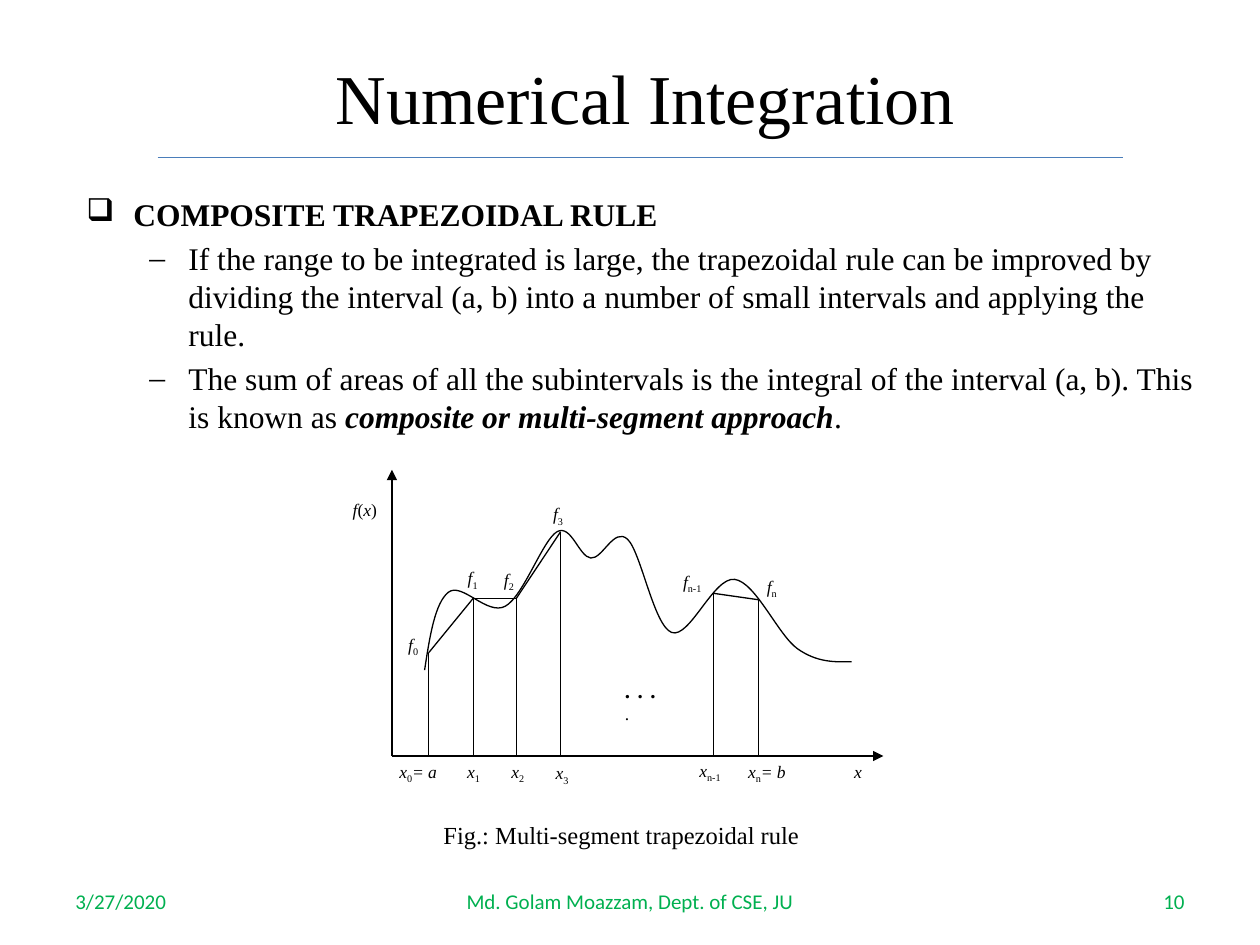
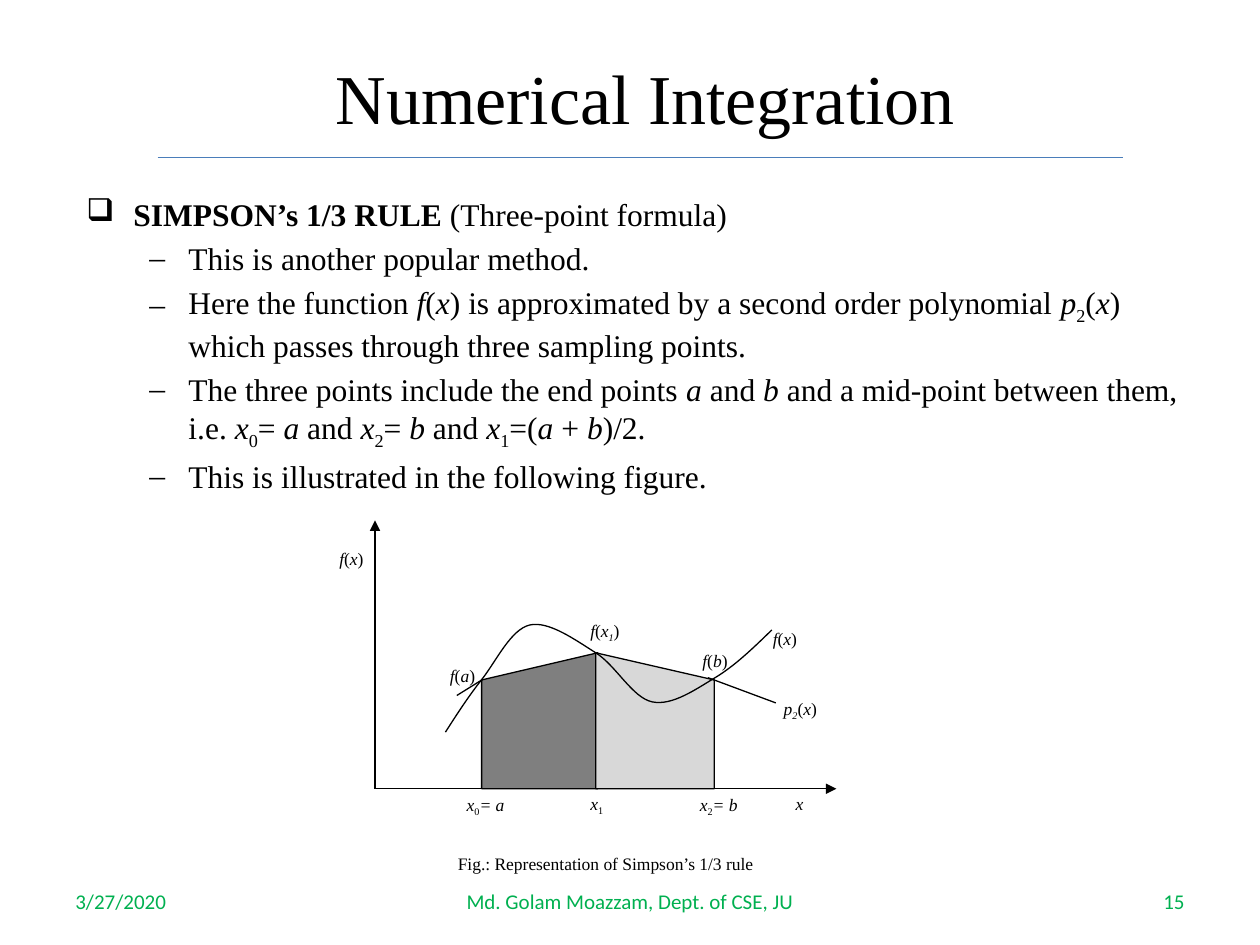
from itertools import groupby, pairwise

from lxml.etree import SubElement
from pptx import Presentation
from pptx.dml.color import RGBColor
from pptx.enum.shapes import MSO_CONNECTOR as Connector, MSO_SHAPE as Shape
from pptx.enum.text import MSO_ANCHOR as Anchor, PP_ALIGN as Align
from pptx.oxml.ns import qn
from pptx.util import Cm, Pt

COLOURS = {
    "ink": "000000",
    "rule": "4A7DBA",
    "footer": "00B050",
    "left_area": "7F7F7F",
    "right_area": "D8D8D8",
}
SERIF = {"name": "Times New Roman", "colour": "ink"}
TITLE = SERIF | {"size": Pt(40)}
BODY = SERIF | {"size": Pt(18)}
LABEL = SERIF | {"size": Pt(10)}
FOOTER = {"name": "Calibri", "colour": "footer", "size": Pt(12)}
LINE_WIDTH = Pt(0.75)

TITLE_BOX = (3.39, 0.97, 19.25, 2.21)
BODY_BOX = (1.49, 3.81, 22.86, 14.4)
FOOTER_BOX = (1.27, 17.65, 22.86, 1.02)
BULLETS = [
    {"mark": "❑", "font": "OpenSymbol", "margin": 0.95, "hang": 0.95, "before": 0},
    {"mark": "–", "font": "Times New Roman", "margin": 2.06, "hang": 0.79, "before": 3.6},
]

COMPOSITE_TEXT = [
    "*COMPOSITE TRAPEZOIDAL RULE*",
    "If the range to be integrated is large, the trapezoidal rule can be improved by "
    "dividing the interval (a, b) into a number of small intervals and applying the rule.",
    "The sum of areas of all the subintervals is the integral of the interval (a, b). "
    "This is known as *~composite or multi-segment approach~*.",
]
SIMPSON_TEXT = [
    "*SIMPSON’s 1/3 RULE *(Three-point formula)",
    "This is another popular method.",
    "Here the function ~f~(~x~) is approximated by a second order polynomial "
    "~p~_2_(~x~) which passes through three sampling points.",
    "The three points include the end points ~a~ and ~b~ and a mid-point between them, "
    "i.e. ~x~_0_= ~a~ and ~x~_2_= ~b~ and ~x~_1_=(~a~ + ~b~)/2.",
    "This is illustrated in the following figure.",
]

COMPOSITE_BOX = (7.9, 9.47, 9.91, 5.77)
COMPOSITE_CURVE = [
    (0.66, 1.73), (1.14, 3.3), (2.29, 3.02), (3.33, 4.52), (4.01, 3.99),
    (4.75, 4.37), (5.64, 2.49), (6.91, 3.56), (8.18, 2.16), (9.27, 1.9),
]
FIRST_ORDINATES = [
    (0.74, [(2.08, 0.03)]),
    (1.64, [(3.18, 1.09), (1.09, 0.48), (0.51, 0.03)]),
    (2.51, [(3.18, 1.47), (2.08, 0.03)]),
    (3.4, [(4.52, 1.09), (1.09, 0.48), (0.51, 0.03)]),
]
LAST_ORDINATES = [
    (6.48, [(3.28, 1.42), (2.08, 0)]),
    (7.39, [(3.15, 0.48), (0.48, 0)]),
]
COMPOSITE_LABELS = [
    ("~x~_0_~= a~", -0.1, 0.03, 1.4),
    ("~x~_1_", 1.27, 0.03, 1.02),
    ("~x~_2_", 2.16, 0.03, 1.02),
    ("~x~_3_", 3.05, 0, 1.02),
    ("~x~_n-1_", 5.95, 0.05, 1.3),
    ("~x~_n_~= b~", 6.93, 0.03, 1.4),
    ("~x~", 9.07, 0.03, 0.89),
    ("~f~(~x~)", -1.04, 5.31, 1.24),
    ("~f~_0_", 0.08, 2.59, 0.91),
    ("~f~_1_", 1.28, 3.93, 0.91),
    ("~f~_2_", 2.01, 3.9, 0.91),
    ("~f~_3_", 3, 5.22, 0.91),
    ("~f~_n-1_", 5.62, 3.86, 1.17),
    ("~f~_n_", 7.31, 3.76, 1.17),
]

SIMPSON_BOX = (7.56, 10.49, 9.3, 5.41)
SIMPSON_CURVE = [
    (1.42, 1.14), (2.16, 2.21), (3.12, 3.3), (4.45, 2.74),
    (5.59, 1.75), (6.86, 2.24), (8, 3.2),
]
SIMPSON_LABELS = [
    ("~x~_0_~= a~", 1.6, 0.02, 1.32),
    ("~x~_1_", 4.09, 0.04, 0.97),
    ("~x~_2_~= b~", 6.3, 0.02, 1.32),
    ("~x~", 8.23, 0.04, 0.84),
    ("~f~(~x~)", -0.97, 4.98, 1.17),
    ("~f~(~x~_~1~_)", 4.09, 3.53, 1.17),
    ("~f~(~a~)", 1.26, 2.61, 1.07),
    ("~f~(~b~)", 6.35, 2.92, 1.07),
    ("~f~(~x~)", 7.77, 3.37, 1.07),
    ("~p~_~2~_(~x~)", 7.99, 1.96, 1.45),
]


def colour(name):
    """Return the named colour."""
    return RGBColor.from_string(COLOURS[name])


def add_runs(paragraph, marked, style):
    """Add runs, where * switches bold, ~ italic and _ subscript."""
    switches = {"*": False, "~": False, "_": False}
    letters = []
    for letter in marked:
        if letter in switches:
            switches[letter] = not switches[letter]
        else:
            letters.append((letter, tuple(switches.values())))
    for (bold, italic, subscript), group in groupby(letters, key=lambda pair: pair[1]):
        run = paragraph.add_run()
        run.text = "".join(letter for letter, _ in group)
        values = {"name": style["name"], "size": style["size"], "bold": bold, "italic": italic}
        for attribute, value in values.items():
            setattr(run.font, attribute, value)
        run.font.color.rgb = colour(style["colour"])
        if subscript:
            run._r.get_or_add_rPr().set("baseline", "-25000")


def add_text(slide, box, marked, style, align=Align.LEFT, anchor=Anchor.TOP):
    """Add a wrapping text box and return its text frame."""
    frame = slide.shapes.add_textbox(*map(Cm, box)).text_frame
    for attribute, value in {"word_wrap": True, "vertical_anchor": anchor}.items():
        setattr(frame, attribute, value)
    frame.paragraphs[0].alignment = align
    add_runs(frame.paragraphs[0], marked, style)
    return frame


def add_line(slide, start, end, line_colour="ink", arrow=False):
    """Draw a straight line, with an arrowhead at its end if asked."""
    line = slide.shapes.add_connector(Connector.STRAIGHT, *map(Cm, (*start, *end)))
    line.line.color.rgb = colour(line_colour)
    line.line.width = LINE_WIDTH
    if arrow:
        SubElement(line.line._get_or_add_ln(), qn("a:tailEnd"), type="triangle")
    SubElement(line._element.spPr, qn("a:effectLst"))


def add_bullet(paragraph, mark, font, margin, hang, before):
    """Give a paragraph its bullet, indents and spacing."""
    paragraph.space_before = Pt(before)
    properties = paragraph._p.get_or_add_pPr()
    properties.set("marL", str(Cm(margin)))
    properties.set("indent", str(-Cm(hang)))
    SubElement(properties, qn("a:buFont"), typeface=font)
    SubElement(properties, qn("a:buChar"), char=mark)


def add_title(slide, box):
    """Add the title and the rule along the foot of its box."""
    add_text(slide, box, "Numerical Integration", TITLE, Align.CENTER)
    left, top, width, height = box
    bottom = top + height
    add_line(slide, (left - 0.21, bottom), (left + width, bottom), "rule")


def add_body(slide, box, lines):
    """Add a heading followed by its second-level points."""
    frame = add_text(slide, box, lines[0], BODY)
    add_bullet(frame.paragraphs[0], **BULLETS[0])
    for line in lines[1:]:
        paragraph = frame.add_paragraph()
        paragraph.level = 1
        add_runs(paragraph, line, BODY)
        add_bullet(paragraph, **BULLETS[1])


def add_footer(slide, box, number):
    """Add the date, author and slide number across the box."""
    left, top, width, height = box
    side, middle = 5.93, 8.04
    parts = [
        ("3/27/2020", left, side, Align.LEFT),
        ("Md. Golam Moazzam, Dept. of CSE, JU", left + (width - middle) / 2, middle, Align.CENTER),
        (str(number), left + width - side, side, Align.RIGHT),
    ]
    for text, start, span, align in parts:
        add_text(slide, (start, top, span, height), text, FOOTER, align, Anchor.MIDDLE)


def place(box, point):
    """Turn a distance along and a height above the axis into a slide position."""
    left, top, _, height = box
    return left + point[0], top + height - point[1]


def add_plot_line(slide, box, start, end, arrow=False):
    """Draw a line between two points of a plot."""
    add_line(slide, place(box, start), place(box, end), arrow=arrow)


def add_axes(slide, box):
    """Draw both axes from the lower left corner of the box."""
    for end in ((box[2], 0), (0, box[3])):
        add_plot_line(slide, box, (0, 0), end, arrow=True)


def add_label(slide, box, label, style=LABEL, height=0.99):
    """Place one label, given as text, left, top and width."""
    text, along, above, width = label
    add_text(slide, (*place(box, (along, above)), width, height), text, style, Align.JUSTIFY)


def bezier_segments(knots):
    """Return both control points and the end of each smooth segment."""
    tangents = [
        tuple((after - before) / 6 for before, after in zip(previous, following))
        for previous, following in zip(knots, knots[2:])
    ]
    segments = []
    for index, (start, end) in enumerate(pairwise(knots)):
        leaving = arriving = None
        if index > 0:
            leaving = [s + t for s, t in zip(start, tangents[index - 1])]
        if index < len(tangents):
            arriving = [e - t for e, t in zip(end, tangents[index])]
        leaving = leaving or [(s + a) / 2 for s, a in zip(start, arriving)]
        arriving = arriving or [(b + e) / 2 for b, e in zip(leaving, end)]
        segments.append((leaving, arriving, end))
    return segments


def add_curve(slide, box, knots):
    """Draw a smooth open curve through the knots."""
    points = [tuple(map(Cm, place(box, knot))) for knot in knots]
    builder = slide.shapes.build_freeform(*points[0], scale=1.0)
    builder.add_line_segments(points[1:], close=False)
    curve = builder.convert_to_shape()
    curve.shadow.inherit = False
    curve.fill.background()
    curve.line.color.rgb = colour("ink")
    curve.line.width = LINE_WIDTH
    straights = list(curve._element.iter(qn("a:lnTo")))
    for straight, segment in zip(straights, bezier_segments(knots)):
        straight.tag = qn("a:cubicBezTo")
        straight.remove(straight[0])
        for point in segment:
            x, y = map(Cm, place(box, point))
            SubElement(straight, qn("a:pt"), x=str(x - curve.left), y=str(y - curve.top))


def add_area(slide, box, along, width, fill, flipped=False):
    """Draw one filled strip with a slanting top, standing on the axis."""
    height = 2.74
    left, top = place(box, (along, height))
    area = slide.shapes.add_shape(
        Shape.FLOWCHART_MANUAL_INPUT, *map(Cm, (left, top, width, height)))
    area.shadow.inherit = False
    area.fill.solid()
    area.fill.fore_color.rgb = colour(fill)
    area.line.color.rgb = colour("ink")
    area.line.width = LINE_WIDTH
    if flipped:
        area._element.spPr.find(qn("a:xfrm")).set("flipH", "1")


def add_composite_figure(slide, box):
    """Draw the curve split into trapezoidal segments."""
    add_axes(slide, box)
    add_curve(slide, box, COMPOSITE_CURVE)
    for ordinates in (FIRST_ORDINATES, LAST_ORDINATES):
        for along, strokes in ordinates:
            for upper, lower in strokes:
                add_plot_line(slide, box, (along, upper), (along, lower))
        tops = [(along, strokes[0][0]) for along, strokes in ordinates]
        for start, end in pairwise(tops):
            add_plot_line(slide, box, start, end)
    add_plot_line(slide, box, (7.37, 0), (6.48, 0))
    for label in COMPOSITE_LABELS:
        add_label(slide, box, label)
    dots = add_text(slide, (*place(box, (4.45, 1.7)), 1.12, 0.99), "*. . . *",
                    LABEL | {"size": Pt(12)}, Align.JUSTIFY)
    add_runs(dots.paragraphs[0], ".", LABEL)
    caption = ("Fig.: Multi-segment trapezoidal rule", 0.79, -1.17, 8.38)
    add_label(slide, box, caption, LABEL | {"size": Pt(14)})


def add_simpson_figure(slide, box):
    """Draw the curve, its approximation and the two areas below."""
    add_axes(slide, box)
    add_area(slide, box, 2.15, 2.34, "left_area")
    add_area(slide, box, 4.45, 2.39, "right_area", flipped=True)
    add_curve(slide, box, SIMPSON_CURVE)
    add_plot_line(slide, box, (2.18, 2.21), (1.65, 1.88))
    add_plot_line(slide, box, (6.71, 2.24), (8.08, 1.73))
    caption = ("Fig.: Representation of Simpson’s 1/3 rule", 1.42, -1.17, 7.19)
    for label in [*SIMPSON_LABELS, caption]:
        add_label(slide, box, label, height=0.94)


def main():
    """Build both slides and save the presentation."""
    presentation = Presentation()
    presentation.slide_width, presentation.slide_height = Cm(25.4), Cm(19.05)
    pages = [
        (10, COMPOSITE_TEXT, add_composite_figure, COMPOSITE_BOX),
        (15, SIMPSON_TEXT, add_simpson_figure, SIMPSON_BOX),
    ]
    for number, lines, add_figure, figure_box in pages:
        slide = presentation.slides.add_slide(presentation.slide_layouts[6])
        add_title(slide, TITLE_BOX)
        add_body(slide, BODY_BOX, lines)
        add_footer(slide, FOOTER_BOX, number)
        add_figure(slide, figure_box)
    presentation.save("out.pptx")


if __name__ == "__main__":
    main()
